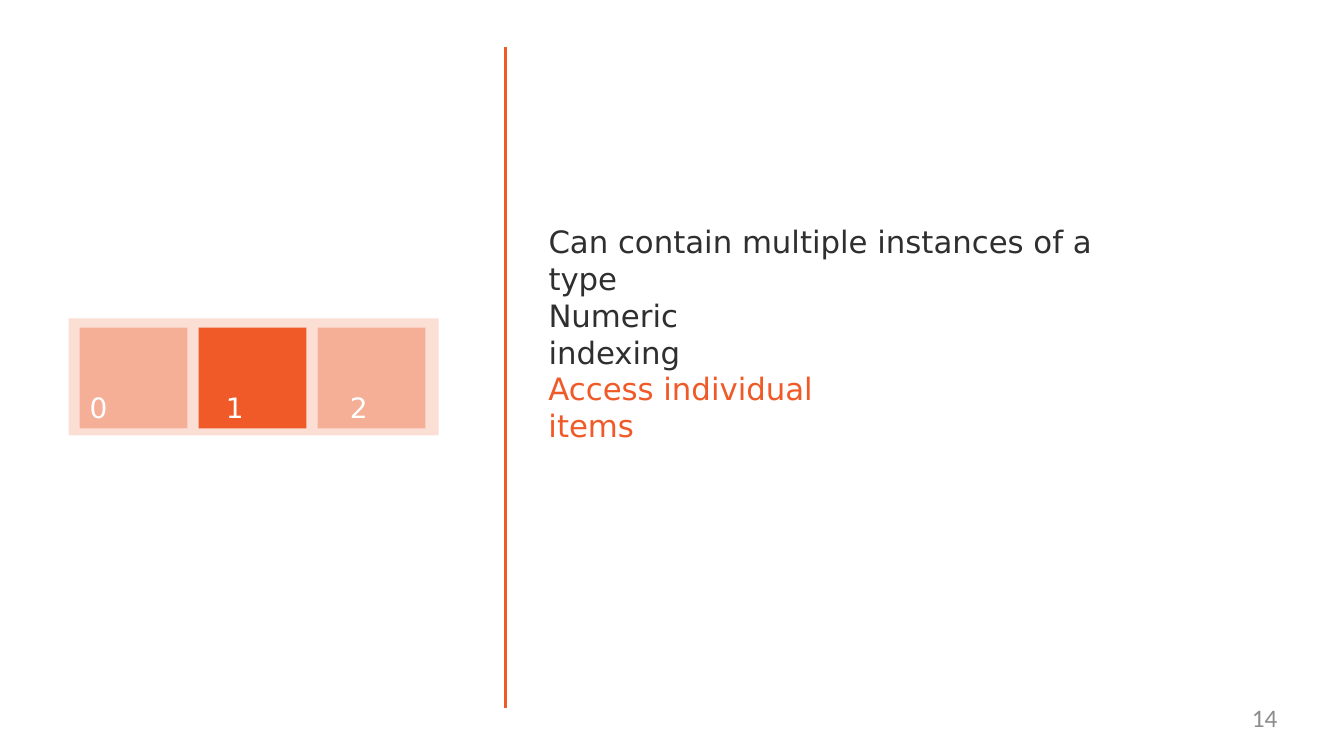
"""Build the slide on arrays and access to individual items."""
import pptx
import pptx.chart.data
import pptx.dml.color
import pptx.enum.shapes
import pptx.enum.text
import pptx.oxml
import pptx.oxml.ns
import pptx.util
from lxml import etree

RGB = pptx.dml.color.RGBColor
ORANGE = RGB(0xEF, 0x5A, 0x28)
DARK = RGB(0x2F, 0x2F, 0x2F)
WHITE = RGB(0xFF, 0xFF, 0xFF)
GRAY = RGB(0x8C, 0x8C, 0x8C)
BODY_FONT = "DejaVu Sans"
ANCHOR = pptx.enum.text.MSO_ANCHOR
ALIGN = pptx.enum.text.PP_ALIGN

POINTS = [
    ("Can contain multiple instances of a type", 6.15, DARK),
    ("Numeric indexing", 2.65, DARK),
    ("Access individual items", 3.5, ORANGE),
]
INDEXES = ["0", "1", "2"]
CELL_OPACITY = [35, 100, 35]
INDEX_TABS = [1.35, 2.58]
PAGE = "14"

WIDTH, HEIGHT = 13.33, 7.5
DIVIDER_X, DIVIDER_TOP, DIVIDER_BOTTOM = 5.01, 0.47, 7.02
TRAY = (0.68, 3.16, 3.67, 1.16)
CELL_LEFT, CELL_TOP, CELL_W, CELL_H, CELL_PITCH = 0.79, 3.25, 1.07, 1, 1.18
POINT_LEFT, POINT_TOP, POINT_H, POINT_PITCH = 5.44, 2.21, 0.39, 0.73


def inches(*values):
    return [pptx.util.Inches(v) for v in values]


def add_block(s, box, opacity):
    sp = s.shapes.add_shape(pptx.enum.shapes.MSO_SHAPE.RECTANGLE, *inches(*box))
    sp.shadow.inherit = False
    sp.line.fill.background()
    sp.fill.solid()
    sp.fill.fore_color.rgb = ORANGE
    if opacity < 100:
        color = sp.fill._xPr.find(".//" + pptx.oxml.ns.qn("a:srgbClr"))
        alpha = etree.SubElement(color, pptx.oxml.ns.qn("a:alpha"))
        alpha.set("val", str(opacity * 1000))


def add_text(s, box, text, size, color, font=BODY_FONT, align=ALIGN.LEFT, tabs=()):
    tf = s.shapes.add_textbox(*inches(*box)).text_frame
    tf.word_wrap = True
    tf.margin_left = tf.margin_right = tf.margin_top = tf.margin_bottom = 0
    tf.text = text
    p = tf.paragraphs[0]
    p.alignment = align
    if tabs:
        tab_list = etree.SubElement(p._p.get_or_add_pPr(), pptx.oxml.ns.qn("a:tabLst"))
        for pos in tabs:
            tab = etree.SubElement(tab_list, pptx.oxml.ns.qn("a:tab"))
            tab.set("pos", str(pptx.util.Inches(pos)))
            tab.set("algn", "l")
    for r in p.runs:
        r.font.name = font
        r.font.size = pptx.util.Pt(size)
        r.font.color.rgb = color
    return tf


def main():
    prs = pptx.Presentation()
    prs.slide_width, prs.slide_height = inches(WIDTH, HEIGHT)
    s = prs.slides.add_slide(prs.slide_layouts[6])

    divider = s.shapes.add_connector(
        pptx.enum.shapes.MSO_CONNECTOR.STRAIGHT,
        *inches(DIVIDER_X, DIVIDER_TOP, DIVIDER_X, DIVIDER_BOTTOM))
    divider.line.color.rgb = ORANGE
    divider.line.width = pptx.util.Pt(2)
    etree.SubElement(divider._element.spPr, pptx.oxml.ns.qn("a:effectLst"))

    add_block(s, TRAY, 20)
    for i, opacity in enumerate(CELL_OPACITY):
        add_block(s, (CELL_LEFT + i * CELL_PITCH, CELL_TOP, CELL_W, CELL_H), opacity)

    for i, (text, width, color) in enumerate(POINTS):
        top = POINT_TOP + i * POINT_PITCH
        add_text(s, (POINT_LEFT, top, width, POINT_H), text, 22, color)

    tf = add_text(s, TRAY, "\t".join(INDEXES), 20, WHITE, tabs=INDEX_TABS)
    tf.vertical_anchor = ANCHOR.BOTTOM
    tf.margin_left, tf.margin_bottom = inches(0.21, 0.11)

    add_text(s, (9.6, 6.97, 3.07, 0.38), PAGE, 18, GRAY, "Calibri", ALIGN.RIGHT)
    prs.save("out.pptx")


if __name__ == "__main__":
    main()
